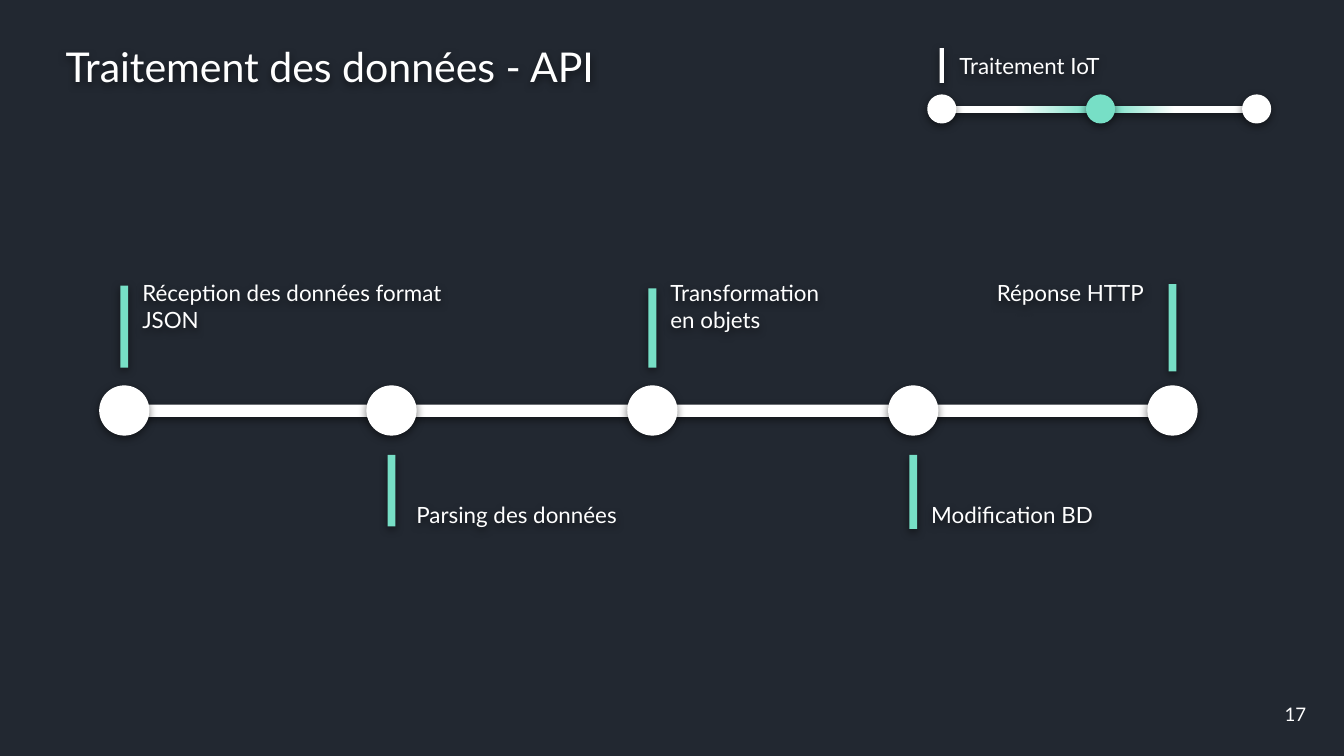
from dataclasses import dataclass

from lxml import etree
from pptx import Presentation
from pptx import util as u
from pptx.dml.color import RGBColor
from pptx.enum import shapes, text
from pptx.oxml import ns

HUES = {"night": "222831", "white": "FFFFFF", "mint": "77DFC6", "black": "000000"}
RECT = shapes.MSO_SHAPE.RECTANGLE
OVAL = shapes.MSO_SHAPE.OVAL


@dataclass
class Step:
    words: str
    mid: float
    top: float
    tall: float
    left: float
    head: float
    wide: float = 6.17
    high: float = 1.02


@dataclass
class Rail:
    left: float
    wide: float
    stops: tuple[tuple[float, str], ...]


@dataclass
class Dot:
    mid: float
    hue: str


STEPS = [
    Step("Réception des données format JSON", 2.35, 5.4, 1.55, 2.44, 5.03, high=1.55),
    Step("Parsing des données", 7.4, 8.6, 1.35, 7.62, 9.22),
    Step("Transformation\nen objets", 12.33, 5.45, 1.5, 12.42, 5.03, high=1.55),
    Step("Modification BD", 17.26, 8.6, 1.4, 17.35, 9.22),
    Step("Réponse HTTP", 22.16, 5.37, 1.65, 18.59, 5.03, wide=3.3),
]
RAILS = [
    Rail(20.96, 2.59, ((0, "mint"), (0.48, "white"))),
    Rail(17.88, 2.77, ((0.47, "white"), (1, "mint"))),
]
DOTS = [Dot(17.8, "white"), Dot(20.8, "mint"), Dot(23.75, "white")]


def tint(name: str) -> RGBColor:
    return RGBColor.from_string(HUES[name])


def shade(item) -> None:
    item.shadow.inherit = False
    glow = item._element.spPr.find(ns.qn("a:effectLst"))
    cast = etree.SubElement(glow, ns.qn("a:outerShdw"), blurRad="57150",
                            dist="19050", dir="5400000", algn="bl", rotWithShape="0")
    tone = etree.SubElement(cast, ns.qn("a:srgbClr"), val=HUES["black"])
    etree.SubElement(tone, ns.qn("a:alpha"), val="50000")


def draw(slide, kind, left: float, top: float, wide: float, high: float,
         hue: str = "white"):
    item = slide.shapes.add_shape(kind, u.Cm(left), u.Cm(top), u.Cm(wide), u.Cm(high))
    item.fill.solid()
    item.fill.fore_color.rgb = tint(hue)
    item.line.fill.background()
    shade(item)
    return item


def bar(slide, mid: float, top: float, wide: float, high: float, hue: str) -> None:
    draw(slide, RECT, mid - wide / 2, top, wide, high, hue)


def disc(slide, mid: float, level: float, size: float, hue: str = "white") -> None:
    draw(slide, OVAL, mid - size / 2, level - size / 2, size, size, hue)


def blend(slide, rail: Rail) -> None:
    item = draw(slide, RECT, rail.left, 2.01, rail.wide, 0.13)
    item.fill.gradient()
    item.fill.gradient_angle = 0
    for stop, (place, hue) in zip(item.fill.gradient_stops, rail.stops):
        stop.position = place
        stop.color.rgb = tint(hue)


def write(slide, words: str, left: float, top: float, wide: float, high: float,
          size: int = 12):
    box = slide.shapes.add_textbox(u.Cm(left), u.Cm(top), u.Cm(wide), u.Cm(high))
    frame = box.text_frame
    frame.word_wrap = True
    frame.margin_left = frame.margin_right = u.Cm(0.25)
    frame.margin_top = frame.margin_bottom = u.Cm(0.25)
    frame.text = words
    for para in frame.paragraphs:
        para.font.name = "Lato"
        para.font.size = u.Pt(size)
        para.font.color.rgb = tint("white")
    return box


def main() -> None:
    deck = Presentation()
    deck.slide_width, deck.slide_height = u.Cm(25.4), u.Cm(14.29)
    slide = deck.slides.add_slide(deck.slide_layouts[6])
    slide.background.fill.solid()
    slide.background.fill.fore_color.rgb = tint("night")

    shade(write(slide, "Traitement des données - API", 0.99, 0.53, 11.28, 1.45, 22))
    page = write(slide, "17", 23.85, 12.95, 1.27, 1.09, 10).text_frame
    page.vertical_anchor = text.MSO_ANCHOR.MIDDLE
    page.paragraphs[0].alignment = text.PP_ALIGN.CENTER

    for rail in RAILS:
        blend(slide, rail)
    for dot in DOTS:
        disc(slide, dot.mid, 2.06, 0.55, dot.hue)
    bar(slide, DOTS[0].mid, 0.91, 0.08, 0.66, "white")
    shade(write(slide, "Traitement IoT", 17.88, 0.74, 3.56, 1.02))

    for step in STEPS[:-1]:
        draw(slide, RECT, step.mid + 0.13, 7.65, 4.83, 0.23)
    for step in STEPS:
        disc(slide, step.mid, 7.76, 0.95)
        bar(slide, step.mid, step.top, 0.15, step.tall, "mint")
        shade(write(slide, step.words, step.left, step.head, step.wide, step.high))

    deck.save("out.pptx")


if __name__ == "__main__":
    main()
